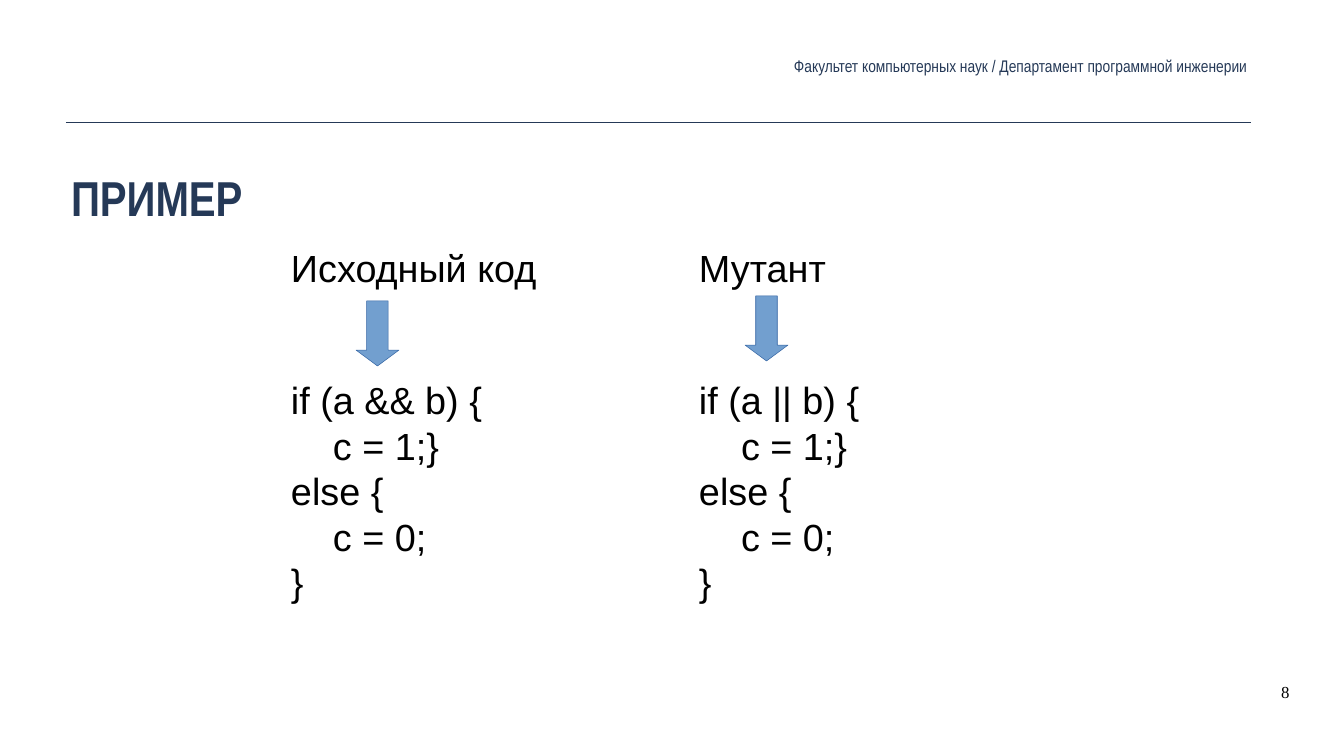
from dataclasses import dataclass
from typing import Any

from lxml.etree import SubElement
from pptx import Presentation
from pptx.dml.color import RGBColor
from pptx.enum.shapes import MSO_CONNECTOR, MSO_SHAPE
from pptx.enum.text import MSO_ANCHOR, MSO_AUTO_SIZE, PP_ALIGN
from pptx.oxml.ns import qn
from pptx.util import Emu, Pt

EMU_PER_PX = 914400 / 50.4


def px(length):
    return Emu(round(length * EMU_PER_PX))


def color(hex_code):
    return RGBColor.from_string(hex_code)


def write(frame, lines, *, size, font, ink, bold=False, align=PP_ALIGN.LEFT,
          anchor=MSO_ANCHOR.TOP, inset=(4, 4)):
    """Fill a frame with lines given as (text, indent px, space before pt)."""
    frame.word_wrap = True
    frame.auto_size = MSO_AUTO_SIZE.NONE
    frame.vertical_anchor = anchor
    frame.margin_left = frame.margin_right = px(inset[0])
    frame.margin_top = frame.margin_bottom = px(inset[1])
    for number, (text, indent, gap) in enumerate(lines):
        paragraph = frame.paragraphs[0] if number == 0 else frame.add_paragraph()
        paragraph.alignment = align
        paragraph.line_spacing = 1.0
        paragraph.space_before = Pt(gap)
        properties = paragraph._p.get_or_add_pPr()
        properties.set("marL", str(px(indent)))
        properties.set("indent", "0")
        SubElement(properties, qn("a:buNone"))
        run = paragraph.add_run()
        run.text = text
        run.font.size = Pt(size)
        run.font.name = font
        run.font.bold = bold
        run.font.color.rgb = color(ink)


@dataclass
class LectureSlide:
    slide: Any
    navy: str = "253957"
    black: str = "000000"
    arrow_fill: str = "729FCF"
    arrow_line: str = "3465A4"
    heading_font: str = "Arial Narrow"
    code_font: str = "Arial"
    number_font: str = "Times New Roman"

    def placeholder(self, index, box, lines, **style):
        holder = self.slide.placeholders[index]
        holder.left, holder.top, holder.width, holder.height = map(px, box)
        write(holder.text_frame, lines, **style)

    def label(self, box, text, **style):
        label = self.slide.shapes.add_textbox(*map(px, box))
        write(label.text_frame, [(text, 0, 0)], **style)

    def rule(self, left, right, y):
        rule = self.slide.shapes.add_connector(
            MSO_CONNECTOR.STRAIGHT, px(left), px(y), px(right), px(y))
        rule.line.color.rgb = color(self.navy)
        rule.line.width = Pt(1)
        SubElement(rule._element.spPr, qn("a:effectLst"))

    def down_arrow(self, left, top):
        arrow = self.slide.shapes.add_shape(
            MSO_SHAPE.DOWN_ARROW, px(left), px(top), px(43), px(65))
        arrow.adjustments[0] = 0.5
        arrow.adjustments[1] = 0.37
        arrow.shadow.inherit = False
        arrow.fill.solid()
        arrow.fill.fore_color.rgb = color(self.arrow_fill)
        arrow.line.color.rgb = color(self.arrow_line)
        arrow.line.width = Pt(0.75)

    def code_column(self, index, box, heading, condition):
        step = 42
        lines = [
            (heading, 0, 0),
            (f"if ({condition}) {{", 0, 124),  # room for the arrow
            ("c = 1;}", step, 0),
            ("else {", 0, 0),
            ("c = 0;", step, 0),
            ("}", 0, 0),
        ]
        self.placeholder(index, box, lines, size=54, font=self.code_font,
                         ink=self.black, inset=(5, 3))


def main():
    deck = Presentation()
    deck.slide_width, deck.slide_height = px(1344), px(756)
    two_columns = deck.slide_layouts[3]
    page = LectureSlide(deck.slides.add_slide(two_columns))

    # Header and title
    page.rule(66, 1251, 122)
    page.placeholder(0, (67, 164, 1181, 87), [("ПРИМЕР", 0, 0)], size=70,
                     font=page.heading_font, ink=page.navy, bold=True)
    page.label((625, 52, 626, 28),
               "Факультет компьютерных наук / Департамент программной инженерии",
               size=24, font=page.heading_font, ink=page.navy,
               align=PP_ALIGN.RIGHT, anchor=MSO_ANCHOR.MIDDLE)

    # Page number
    page.label((1276, 679, 188, 24), "8", size=24, font=page.number_font,
               ink=page.black, inset=(5, 3))

    # Source code and its mutant
    page.code_column(1, (286, 242, 659, 474), "Исходный код", "a && b")
    page.code_column(2, (694, 242, 175, 394), "Мутант", "a || b")
    page.down_arrow(356, 301)
    page.down_arrow(745, 296)

    deck.save("out.pptx")


if __name__ == "__main__":
    main()
